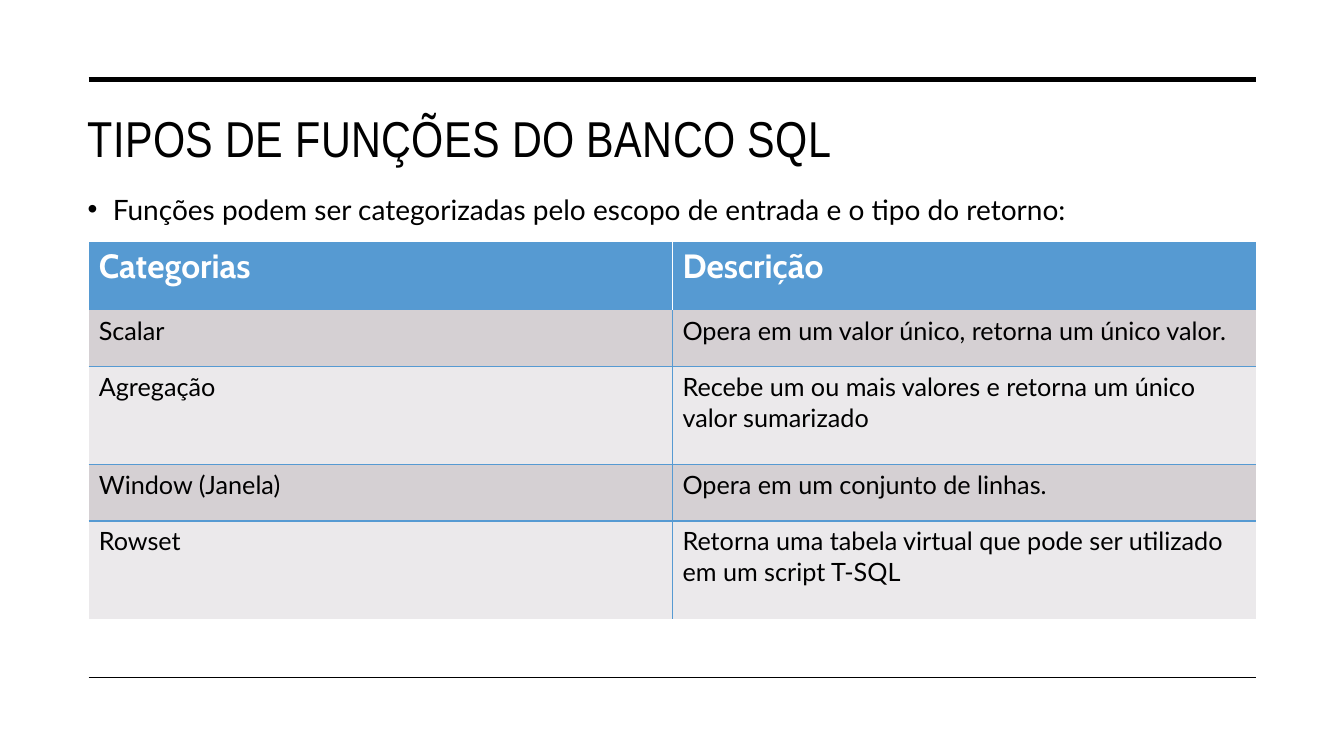
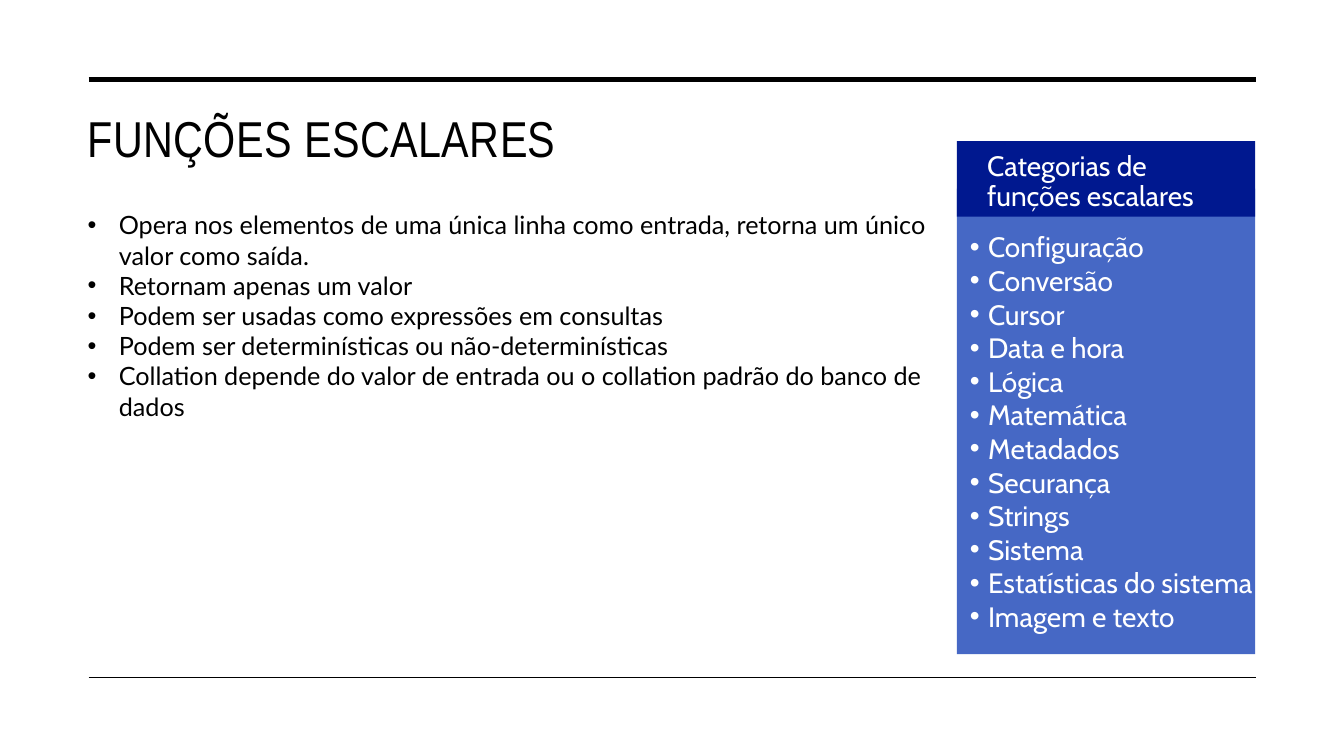
from dataclasses import dataclass

from lxml import etree
from pptx import Presentation
from pptx.dml.color import RGBColor
from pptx.enum import shapes, text
from pptx.oxml import ns
from pptx.util import Inches, Pt


@dataclass(frozen=True)
class Theme:
    ink: str = "000000"
    white: str = "FFFFFF"
    header: str = "569AD2"
    bands: tuple = ("D5D0D3", "EBE9EB")
    panel: str = "4668C5"
    panel_head: str = "00188F"
    title_font: str = "Arial Narrow"
    body_font: str = "Lato"
    accent_font: str = "Cabin"
    title_size: int = 36
    header_size: int = 24
    lead_size: int = 20
    body_size: int = 18


T = Theme()

TITLES = ("TIPOS DE FUNÇÕES DO BANCO SQL", "FUNÇÕES ESCALARES")
LEAD = ["Funções podem ser categorizadas pelo escopo de entrada e o tipo do retorno:"]
TABLE = [
    ("Categorias", "Descrição"),
    ("Scalar", "Opera em um valor único, retorna um único valor."),
    ("Agregação", "Recebe um ou mais valores e retorna um único valor sumarizado"),
    ("Window (Janela)", "Opera em um conjunto de linhas."),
    ("Rowset", "Retorna uma tabela virtual que pode ser utilizado em um script T-SQL"),
]
ROW_HEIGHTS = (0.69, 0.56, 0.97, 0.56, 0.97)
SCALAR_POINTS = [
    "Opera nos elementos de uma única linha como entrada, retorna um único valor como saída.",
    "Retornam apenas um valor",
    "Podem ser usadas como expressões em consultas",
    "Podem ser determinísticas ou não-determinísticas",
    "Collation depende do valor de entrada ou o collation padrão do banco de dados",
]
PANEL_TITLE = "Categorias de funções escalares"
PANEL_ITEMS = ["Configuração", "Conversão", "Cursor", "Data e hora", "Lógica", "Matemática",
               "Metadados", "Securança", "Strings", "Sistema", "Estatísticas do sistema",
               "Imagem e texto"]

LEFT, RIGHT = 0.88, 12.46
TEXT_LEFT = 0.77
RULES = ((0.79, 3.5), (6.72, 1))


def box(*lengths):
    return [Inches(n) for n in lengths]


def style(p, font, size, color, bold=False):
    for r in p.runs:
        r.font.name, r.font.size, r.font.bold = font, Pt(size), bold
        r.font.color.rgb = RGBColor.from_string(color)


def set_insets(tf, *insets):
    tf.margin_left, tf.margin_top, tf.margin_right, tf.margin_bottom = box(*insets)


def add_rules(s, layout):
    for y, width in RULES:
        line = s.shapes.add_connector(shapes.MSO_CONNECTOR.STRAIGHT, *box(LEFT, y, RIGHT, y))
        line.line.color.rgb = RGBColor.from_string(T.ink)
        line.line.width = Pt(width)
        etree.SubElement(line._element.spPr, ns.qn("a:effectLst"))
        layout.shapes._spTree.append(line._element)


def add_title(s, title):
    sp = s.shapes.title
    sp.left, sp.top, sp.width, sp.height = box(TEXT_LEFT, 1.01, RIGHT - TEXT_LEFT, 0.73)
    tf = sp.text_frame
    tf.text = title
    tf.vertical_anchor = text.MSO_ANCHOR.TOP
    p = tf.paragraphs[0]
    p.alignment = text.PP_ALIGN.LEFT
    style(p, T.title_font, T.title_size, T.ink)
    p.runs[0].font._element.set("spc", "30")


def add_bullets(parent, at, items, font, size, color, indent, spacing=None):
    tf = parent.add_textbox(*box(*at)).text_frame
    tf.word_wrap = True
    tf.text = "\n".join(items)
    for p in tf.paragraphs:
        p.line_spacing = spacing
        style(p, font, size, color)
        pPr = p._p.get_or_add_pPr()
        pPr.set("marL", str(Inches(indent)))
        pPr.set("indent", str(-Inches(indent)))
        etree.SubElement(pPr, ns.qn("a:buFont"), typeface="Arial")
        etree.SubElement(pPr, ns.qn("a:buChar"), char="•")
    return tf


def set_borders(cell, colors):
    tcPr = cell._tc.get_or_add_tcPr()
    for i, side in enumerate("LRTB"):
        color = colors.get(side)
        ln = etree.Element(ns.qn(f"a:ln{side}"), w=str(Pt(1) if color else 0))
        fill = etree.SubElement(ln, ns.qn("a:solidFill" if color else "a:noFill"))
        if color:
            etree.SubElement(fill, ns.qn("a:srgbClr"), val=color)
        tcPr.insert(i, ln)


def add_categories_table(s):
    rows, cols = len(TABLE), len(TABLE[0])
    at = box(LEFT, 2.39, RIGHT - LEFT, sum(ROW_HEIGHTS))
    table = s.shapes.add_table(rows, cols, *at).table
    for i, (height, values) in enumerate(zip(ROW_HEIGHTS, TABLE)):
        table.rows[i].height = Inches(height)
        for j, value in enumerate(values):
            cell = table.cell(i, j)
            cell.text = value
            cell.fill.solid()
            p = cell.text_frame.paragraphs[0]
            if i == 0:
                fill, sides, border = T.header, "LTR", T.white
                style(p, T.accent_font, T.header_size, T.white, True)
            else:
                fill, border = T.bands[(i - 1) % 2], T.header
                sides = ("L" if j else "R") + ("T" if i > 1 else "") + ("B" if i < rows - 1 else "")
                style(p, T.body_font, T.body_size, T.ink)
            cell.fill.fore_color.rgb = RGBColor.from_string(fill)
            set_borders(cell, dict.fromkeys(sides, border))


def add_block(parent, at, color):
    sp = parent.add_shape(shapes.MSO_SHAPE.RECTANGLE, *box(*at))
    sp.shadow.inherit = False
    sp.fill.solid()
    sp.fill.fore_color.rgb = RGBColor.from_string(color)
    sp.line.fill.background()
    return sp


def add_panel(s):
    parent = s.shapes.add_group_shape().shapes
    add_block(parent, (9.49, 1.87, 2.96, 4.62), T.panel)
    tf = add_block(parent, (9.49, 1.4, 2.96, 0.75), T.panel_head).text_frame
    tf.word_wrap = True
    tf.text = PANEL_TITLE
    tf.vertical_anchor = text.MSO_ANCHOR.MIDDLE
    set_insets(tf, 0.3, 0.12, 0.1, 0.05)
    p = tf.paragraphs[0]
    p.alignment = text.PP_ALIGN.LEFT
    p.line_spacing = 0.9
    style(p, T.accent_font, T.lead_size, T.white)
    tf = add_bullets(parent, (9.62, 2.28, 2.83, 3.68), PANEL_ITEMS,
                     T.accent_font, T.lead_size, T.white, 0.18)
    set_insets(tf, 0, 0, 0, 0)


def main():
    prs = Presentation()
    prs.slide_width, prs.slide_height = box(13.33, 7.5)
    layout = prs.slide_layouts[5]
    types, scalars = [prs.slides.add_slide(layout) for _ in TITLES]
    add_rules(types, layout)
    for s, title in zip((types, scalars), TITLES):
        add_title(s, title)

    add_bullets(types.shapes, (TEXT_LEFT, 1.79, RIGHT - TEXT_LEFT, 0.55), LEAD,
                T.body_font, T.lead_size, T.ink, 0.25, 1.2)
    add_categories_table(types)

    add_bullets(scalars.shapes, (TEXT_LEFT, 2.03, 8.72, 2.22), SCALAR_POINTS,
                T.body_font, T.body_size, T.ink, 0.31)
    add_panel(scalars)
    prs.save("out.pptx")


if __name__ == "__main__":
    main()
